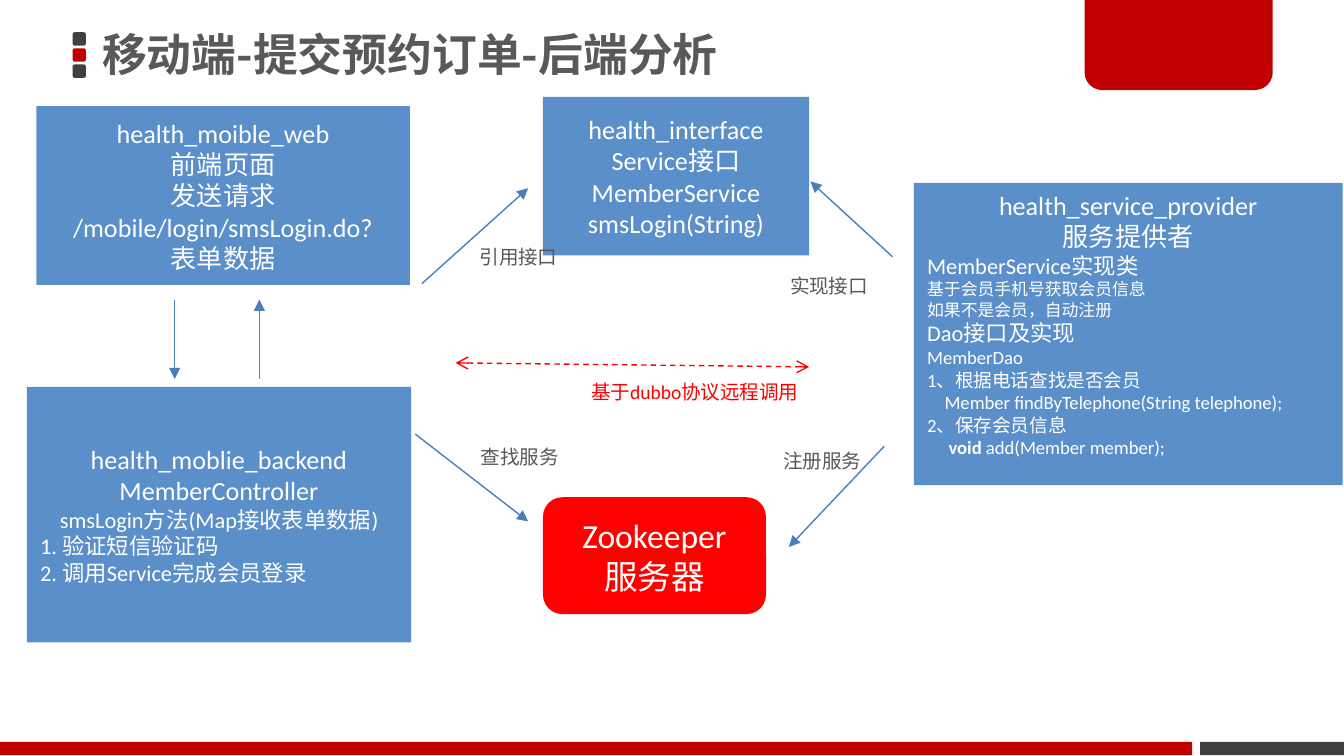
from pptx import Presentation
from pptx.dml.color import RGBColor
from pptx.enum.dml import MSO_LINE
from pptx.enum.shapes import MSO_CONNECTOR, MSO_SHAPE as SHAPE
from pptx.enum.text import MSO_ANCHOR as ANCHOR, PP_ALIGN as ALIGN
from pptx.oxml.ns import qn
from pptx.util import Inches, Pt
from lxml.etree import SubElement

COLORS = {"crimson": "C00000", "dark": "404040", "gray": "595959", "blue": "5B8FC9",
          "arrow": "4B7EBC", "red": "FF0000", "white": "FFFFFF"}
CJK = "Noto Sans CJK SC"


class Deck:
    """Holds the style and the current slide, and draws each kind of element."""

    def __init__(self, width, height):
        self.prs = Presentation()
        self.prs.slide_width, self.prs.slide_height = Inches(width), Inches(height)
        self.s = self.prs.slides.add_slide(self.prs.slide_layouts[6])

    def color(self, name):
        return RGBColor.from_string(COLORS[name])

    def run(self, p, text, size, color, font="Calibri", bold=False):
        r = p.add_run()
        r.text = text
        r.font.size, r.font.bold, r.font.name = Pt(size), bold, font
        r.font.color.rgb = self.color(color)
        SubElement(r._r.get_or_add_rPr(), qn("a:ea")).set("typeface", CJK)

    def shape(self, kind, at, fill, adj=()):
        sp = self.s.shapes.add_shape(kind, *map(Inches, at))
        sp.shadow.inherit = False
        sp.fill.solid()
        sp.fill.fore_color.rgb = self.color(fill)
        sp.line.fill.background()
        for i, value in enumerate(adj):
            sp.adjustments[i] = value
        return sp

    def box(self, at, lines, fill="blue", kind=SHAPE.RECTANGLE, anchor=ANCHOR.MIDDLE):
        tf = self.shape(kind, at, fill).text_frame
        tf.word_wrap, tf.vertical_anchor = True, anchor
        for i, (size, align, indent, *texts) in enumerate(lines):
            p = tf.paragraphs[0] if i == 0 else tf.add_paragraph()
            p.alignment = align
            if indent:
                p._p.get_or_add_pPr().set("marL", str(Inches(indent)))
            for j, text in enumerate(texts):
                self.run(p, text, size, "white", bold=j < len(texts) - 1)

    def label(self, at, text, color="gray", size=10.5, wrap=False, **style):
        tf = self.s.shapes.add_textbox(*map(Inches, at)).text_frame
        tf.word_wrap = wrap
        self.run(tf.paragraphs[0], text, size, color, **style)
        return tf

    def arrow(self, start, end, color="arrow", ends=(("tailEnd", "triangle"),), dash=None):
        c = self.s.shapes.add_connector(MSO_CONNECTOR.STRAIGHT, *map(Inches, start + end))
        c.line.color.rgb, c.line.width = self.color(color), Pt(0.75)
        if dash:
            c.line.dash_style = dash
        for tag, kind in ends:
            SubElement(c.line._get_or_add_ln(), qn("a:" + tag)).set("type", kind)
        SubElement(c._element.spPr, qn("a:effectLst"))


def centered(size, *texts):
    return [(size, ALIGN.CENTER, 0, text) for text in texts]


def left(size, *texts, indent=0):
    return [(size, ALIGN.LEFT, indent, text) for text in texts]


def main():
    d = Deck(10, 10 * 9 / 16)
    for i, color in enumerate(("dark", "crimson", "dark")):
        d.shape(SHAPE.ROUNDED_RECTANGLE, (0.54, 0.24 + 0.12 * i, 0.1, 0.1), color, (0.17,))
    d.shape(SHAPE.RECTANGLE, (8.93, 5.52, 1.07, 0.1), "dark")
    d.shape(SHAPE.ROUND_2_SAME_RECTANGLE, (8.07, -0.02, 1.4, 0.69), "crimson", (0, 0.19))
    d.shape(SHAPE.RECTANGLE, (0, 5.52, 8.87, 0.1), "crimson")

    tf = d.label((0.69, -0.02, 7.15, 0.89), "移动端-提交预约订单-后端分析",
                 size=24, wrap=True, font=CJK, bold=True)
    tf.vertical_anchor = ANCHOR.MIDDLE
    tf.margin_left = tf.margin_right = Inches(0.07)
    tf.margin_top = tf.margin_bottom = Inches(0.04)
    tf.paragraphs[0].line_spacing = 0.9

    d.box((0.2, 2.88, 2.86, 1.9),
          centered(14, "health_moblie_backend", "MemberController")
          + centered(12, "smsLogin方法(Map接收表单数据)")
          + left(12, "1. 验证短信验证码", "2. 调用Service完成会员登录"))
    d.box((4.04, 3.7, 1.66, 0.87), centered(18, "Zookeeper", "服务器"),
          "red", SHAPE.ROUNDED_RECTANGLE)
    d.box((6.8, 1.36, 3.19, 2.25),
          centered(14, "health_service_provider", "服务提供者")
          + left(12, "MemberService实现类")
          + left(9, "基于会员手机号获取会员信息", "如果不是会员，自动注册")
          + left(12, "Dao接口及实现")
          + left(10, "MemberDao", "1、根据电话查找是否会员")
          + left(10, "Member findByTelephone(String telephone);", indent=0.13)
          + left(10, "2、保存会员信息")
          + [(10, ALIGN.LEFT, 0.16, "void ", "add(Member member);")],
          anchor=ANCHOR.TOP)
    d.box((4.04, 0.72, 1.98, 1.18),
          centered(14, "health_interface", "Service接口", "MemberService", "smsLogin(String)"))

    for start, end in (((6.64, 1.91), (6.03, 1.35)), ((3.14, 2.11), (3.93, 1.4)),
                       ((3.09, 3.23), (3.93, 3.88)), ((6.58, 3.32), (5.87, 4.07))):
        d.arrow(start, end)
    for x, y, text in ((5.73, 3.29, "注册服务"), (3.48, 3.26, "查找服务"),
                       (5.78, 1.99, "实现接口"), (3.47, 1.77, "引用接口")):
        d.label((x, y, 0.79, 0.28), text)

    d.arrow((3.39, 2.7), (6.02, 2.73), "red",
            (("headEnd", "arrow"), ("tailEnd", "arrow")), MSO_LINE.DASH)
    d.label((4.3, 2.78, 1.77, 0.28), "基于dubbo协议远程调用", "red", wrap=True)

    d.box((0.27, 0.79, 2.78, 1.33),
          centered(14, "health_moible_web", "前端页面", "发送请求",
                   "/mobile/login/smsLogin.do?", "表单数据"))
    d.arrow((1.3, 2.23), (1.3, 2.82))
    d.arrow((1.93, 2.82), (1.93, 2.23))
    d.prs.save("out.pptx")


if __name__ == "__main__":
    main()
